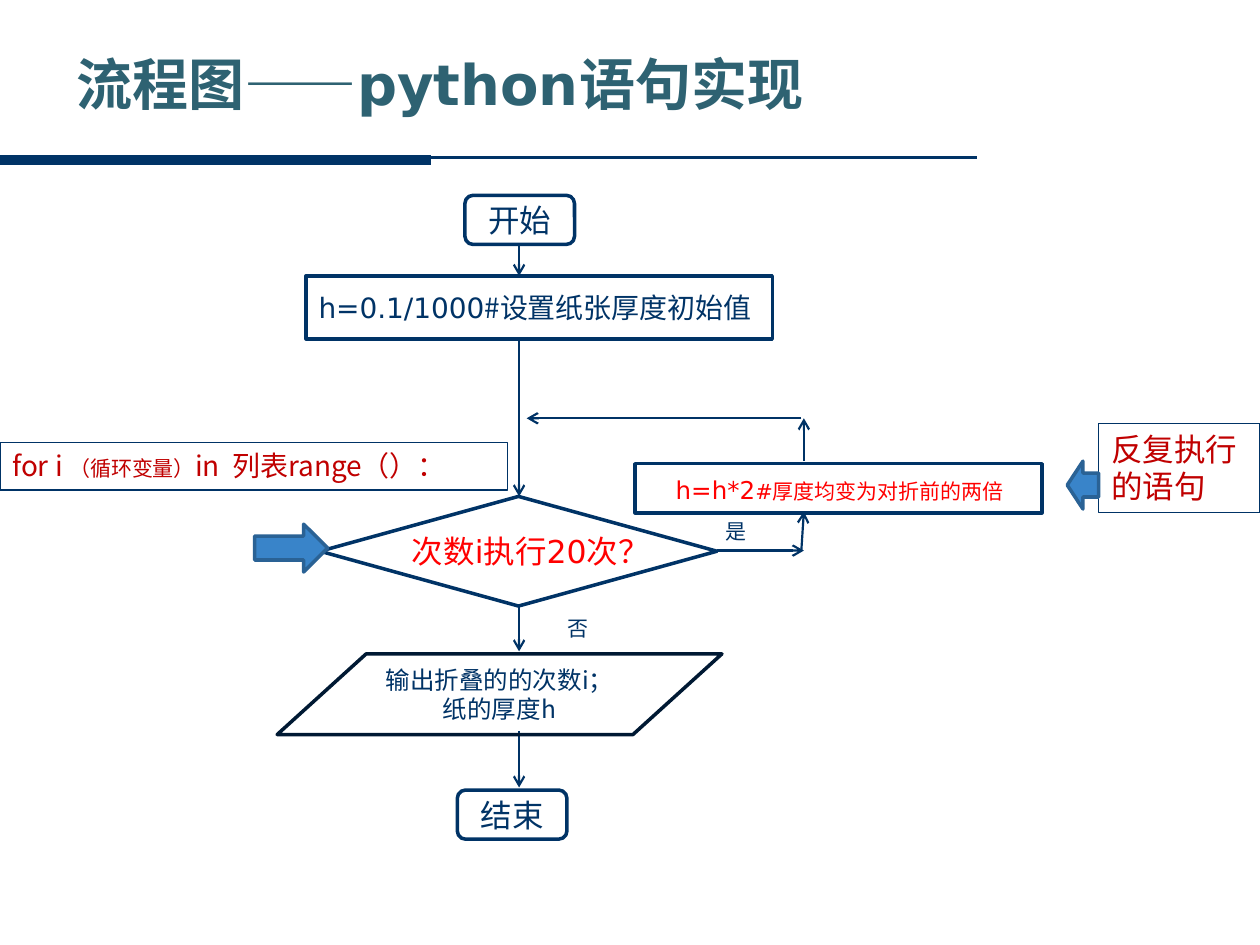
from lxml import etree
from pptx import Presentation
from pptx.dml.color import RGBColor
from pptx.enum.shapes import MSO_CONNECTOR, MSO_SHAPE as SHAPE
from pptx.enum.text import MSO_ANCHOR as ANCHOR, PP_ALIGN as ALIGN
from pptx.oxml.ns import qn
from pptx.util import Inches, Pt

NAVY = RGBColor(0x00, 0x33, 0x66)
DARK_NAVY = RGBColor(0x00, 0x19, 0x33)
TEAL = RGBColor(0x2E, 0x62, 0x72)
RED = RGBColor(0xFF, 0x00, 0x00)
DARK_RED = RGBColor(0xC0, 0x00, 0x00)
BLUE = RGBColor(0x39, 0x84, 0xC9)
BLUE_EDGE = RGBColor(0x2A, 0x62, 0x95)
LATIN, HAN = "DejaVu Sans", "Noto Sans CJK SC"

deck = Presentation()
deck.slide_width, deck.slide_height = Inches(10), Inches(7.5)
COL, ROW = deck.slide_width / 100, deck.slide_height / 75
slide = deck.slides.add_slide(deck.slide_layouts[5])
shapes = slide.shapes


def grid(left, top, width, height):
    return int(left * COL), int(top * ROW), int(width * COL), int(height * ROW)


def write(shape, paragraphs, size=18, font=HAN, color=NAVY, bold=False,
          align=ALIGN.LEFT, anchor=ANCHOR.TOP, wrap=True):
    frame = shape.text_frame
    frame.word_wrap, frame.vertical_anchor = wrap, anchor
    for index, pieces in enumerate(paragraphs):
        paragraph = frame.paragraphs[0] if index == 0 else frame.add_paragraph()
        paragraph.alignment = align
        for text, piece_size, piece_font in pieces:
            run = paragraph.add_run()
            run.text = text
            run.font.size = Pt(piece_size or size)
            run.font.bold = bold
            run.font.color.rgb = color
            run.font.name = piece_font or font
            etree.SubElement(run.font._element, qn("a:ea"), typeface=HAN)


title = shapes.title
title.left, title.top, title.width, title.height = grid(5.1, 3.5, 84.2, 6.2)
write(title, [[("流程图——python语句实现", None, None)]], size=32, font=LATIN,
      color=TEAL, bold=True, anchor=ANCHOR.MIDDLE)

AXIS, LOOP = 41.2, 63.8
lines = [
    (77.5, 12.5, 0, 12.5, 1.5, False),
    (0, 12.7, 34.2, 12.7, 6, False),
    (AXIS, 19.4, AXIS, 21.9, 1.25, True),
    (AXIS, 27.1, AXIS, 39.4, 1.25, True),
    (AXIS, 48, AXIS, 51.7, 1.25, True),
    (AXIS, 58, AXIS, 62.5, 1.25, True),
    (56.9, 43.7, LOOP, 43.7, 1.25, True),
    (63.6, 43.7, LOOP, 40.6, 1.25, True),
    (LOOP, 36.6, LOOP, 33.2, 1.25, True),
    (63.6, 33.2, 41.8, 33.2, 1.25, True),
]
for x1, y1, x2, y2, weight, arrow in lines:
    line = shapes.add_connector(MSO_CONNECTOR.STRAIGHT, *grid(x1, y1, x2, y2))
    line.line.color.rgb, line.line.width = NAVY, Pt(weight)
    if arrow:
        etree.SubElement(line.line._get_or_add_ln(), qn("a:tailEnd"), type="arrow")
    etree.SubElement(line._element.spPr, qn("a:effectLst"))

start_end = dict(align=ALIGN.CENTER, anchor=ANCHOR.MIDDLE)
note = dict(color=DARK_RED)
nodes = [
    (SHAPE.ROUNDED_RECTANGLE, (36.9, 15.5, 8.7, 3.9), None, NAVY, 2,
     [[("开始", None, None)]], start_end),
    (SHAPE.RECTANGLE, (24.3, 21.9, 37, 5), None, NAVY, 2,
     [[("h=0.1/1000", None, LATIN), ("#设置纸张厚度初始值", None, None)]],
     dict(size=16, anchor=ANCHOR.MIDDLE)),
    (SHAPE.FLOWCHART_DECISION, (25.4, 39.4, 31.5, 8.7), None, NAVY, 2, [], {}),
    (SHAPE.RECTANGLE, (50.4, 36.8, 32.3, 3.9), None, NAVY, 2, [], {}),
    (SHAPE.FLOWCHART_DATA, (22, 51.9, 35.3, 6.4), None, DARK_NAVY, 2,
     [[("输出折叠的的次数i；", None, None)], [("纸的厚度h", None, None)]],
     dict(size=14, **start_end)),
    (SHAPE.ROUNDED_RECTANGLE, (36.3, 62.7, 8.7, 3.9), None, NAVY, 2,
     [[("结束", None, None)]], start_end),
    (SHAPE.RECTANGLE, (87.2, 33.6, 12.8, 7.1), None, NAVY, 0.75,
     [[("反复执行的语句", None, None)]], note),
    (SHAPE.LEFT_ARROW, (84.7, 36.6, 2.5, 3.8), BLUE, BLUE_EDGE, 2, [], {}),
    (SHAPE.RECTANGLE, (0, 35.1, 40.3, 3.8), None, NAVY, 0.75,
     [[("for i ", None, None), ("（循环变量）", 12, None),
       ("in  列表range（）：", None, None)]], dict(size=16, **note)),
    (SHAPE.RIGHT_ARROW, (20.2, 41.6, 5.8, 3.8), BLUE, BLUE_EDGE, 2, [], {}),
]
for kind, place, fill, edge, weight, paragraphs, style in nodes:
    node = shapes.add_shape(kind, *grid(*place))
    node.shadow.inherit = False
    if fill is None:
        node.fill.background()
    else:
        node.fill.solid()
        node.fill.fore_color.rgb = fill
    node.line.color.rgb, node.line.width = edge, Pt(weight)
    write(node, paragraphs, **style)

labels = [
    ((31.7, 41.7, 20.9, 4), [[("次数i执行20次？", None, None)]],
     dict(color=RED, wrap=False)),
    ((56.6, 40.7, 7, 3), [[("是", None, None)]], dict(size=12)),
    ((42.4, 48.4, 7, 3), [[("否", None, None)]], dict(size=12, align=ALIGN.CENTER)),
    ((52.4, 37.2, 28.5, 3.4),
     [[("h=h*2", None, None), ("#", 12, None), ("厚度均变为对折前的两倍", 12, HAN)]],
     dict(size=14, color=RED, align=ALIGN.CENTER, wrap=False)),
]
for place, paragraphs, style in labels:
    write(shapes.add_textbox(*grid(*place)), paragraphs, font=LATIN, **style)

deck.save("out.pptx")
